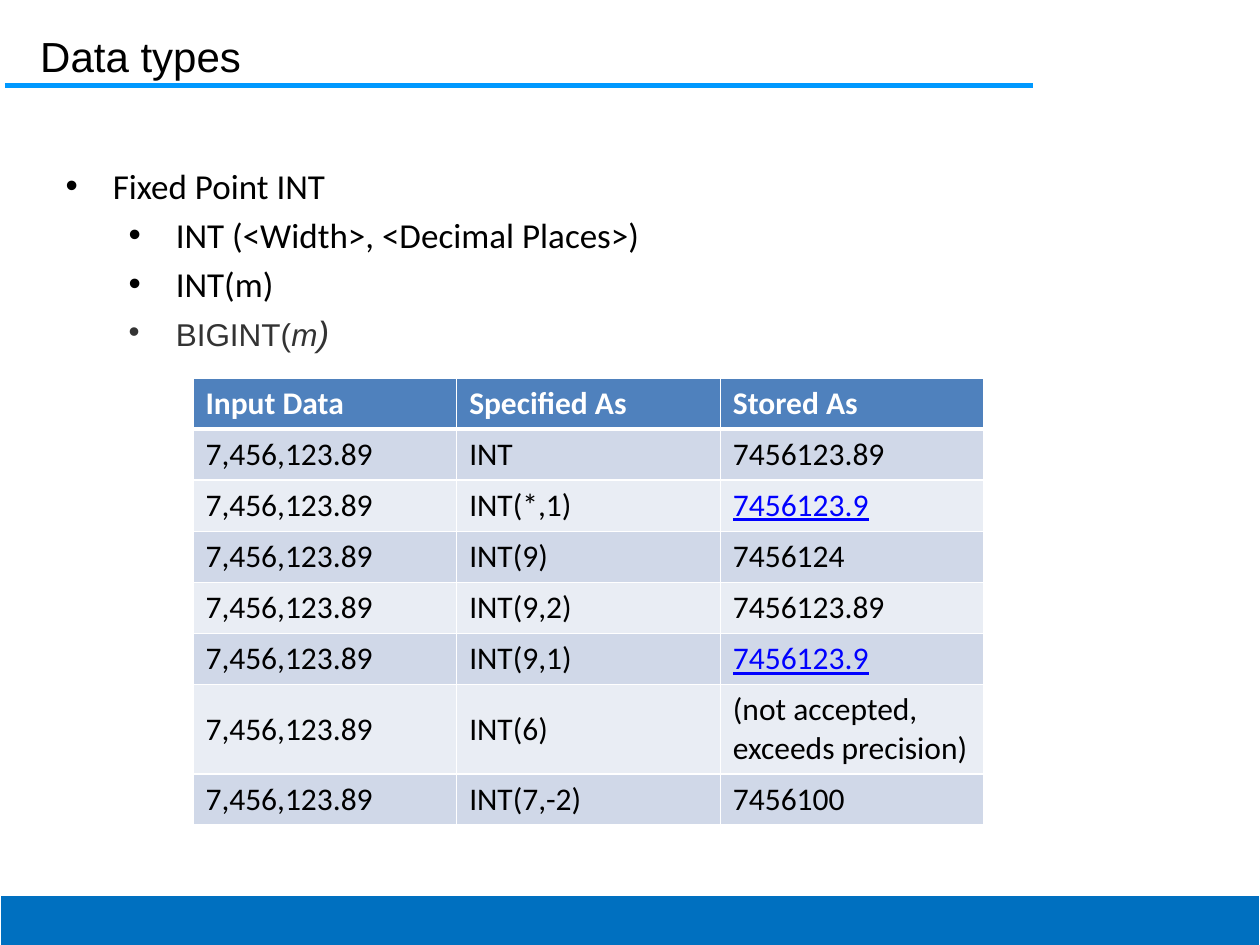
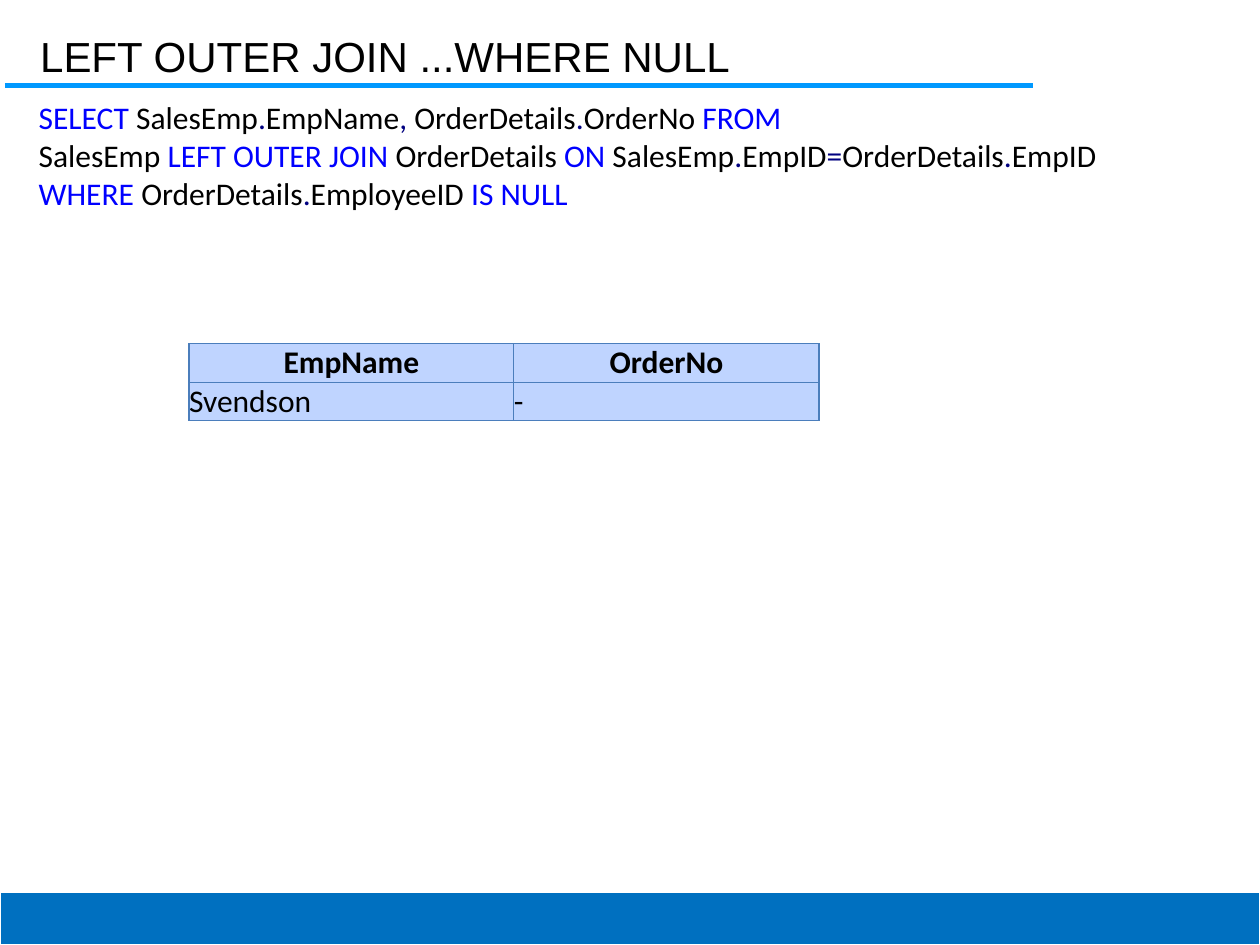
from lxml import etree
from pptx import Presentation
from pptx.dml.color import RGBColor
from pptx.enum.shapes import MSO_CONNECTOR, MSO_SHAPE
from pptx.enum.text import MSO_ANCHOR, MSO_AUTO_SIZE, PP_ALIGN
from pptx.oxml.ns import qn
from pptx.util import Cm, Pt

BLACK = RGBColor(0x00, 0x00, 0x00)
WHITE = RGBColor(0xFF, 0xFF, 0xFF)
GREY = RGBColor(0x33, 0x33, 0x33)
SKY = RGBColor(0x00, 0x99, 0xFF)
BAND = RGBColor(0x00, 0x70, 0xC0)
BLUE = RGBColor(0x00, 0x00, 0xFF)
NAVY = RGBColor(0x00, 0x00, 0x80)
HEAD = RGBColor(0x4F, 0x81, 0xBD)
DARK = RGBColor(0xD0, 0xD8, 0xE8)
PALE = RGBColor(0xE9, 0xED, 0xF4)
ICE = RGBColor(0xBF, 0xD4, 0xFF)
EDGE = RGBColor(0x4B, 0x7E, 0xBC)

LINE = MSO_CONNECTOR.STRAIGHT
RECT = MSO_SHAPE.RECTANGLE
TOP, MIDDLE = MSO_ANCHOR.TOP, MSO_ANCHOR.MIDDLE
LEFT, CENTER = PP_ALIGN.LEFT, PP_ALIGN.CENTER
FIXED = MSO_AUTO_SIZE.NONE

SANS, BODY = "Arial", "Calibri"
INPUT = "7,456,123.89"
TYPES = [
    ("INT", "7456123.89"),
    ("INT(*,1)", "7456123.9"),
    ("INT(9)", "7456124"),
    ("INT(9,2)", "7456123.89"),
    ("INT(9,1)", "7456123.9"),
    ("INT(6)", "(not accepted, exceeds precision)"),
    ("INT(7,-2)", "7456100"),
]
LINKED = "7456123.9"
KEYS = ("SELECT", "FROM", "LEFT OUTER JOIN", "ON", "WHERE", "IS NULL")
MARKS = (".", ",", "=")
QUERY = [
    "SELECT |SalesEmp|.|EmpName|, |OrderDetails|.|OrderNo |FROM",
    "SalesEmp |LEFT OUTER JOIN |OrderDetails |ON |SalesEmp|.|EmpID|=|"
    "OrderDetails|.|EmpID |WHERE |OrderDetails|.|EmployeeID |IS NULL",
]


def style(run, size, color, face=BODY, bold=False):
    font = run.font
    font.size, font.name, font.bold = Pt(size), face, bold
    font.color.rgb = color


def place(shape, box):
    shape.left, shape.top, shape.width, shape.height = map(Cm, box)


def add_frame(slide, title, foot):
    head = slide.shapes.title
    place(head, (0.58, 0.43, 20.24, 1.02))
    frame = head.text_frame
    frame.text = title
    frame.auto_size = FIXED
    frame.vertical_anchor = TOP
    frame.margin_left = frame.margin_right = Cm(0.23)
    frame.margin_top, frame.margin_bottom = Cm(0.18), Cm(0.1)
    para = frame.paragraphs[0]
    para.alignment = LEFT
    style(para.runs[0], 24, BLACK, SANS)

    rule = slide.shapes.add_connector(LINE, Cm(0.1), Cm(1.73), Cm(20.83), Cm(1.73))
    rule.line.color.rgb = SKY
    rule.line.width = Pt(2.89)
    etree.SubElement(rule.element.spPr, qn("a:effectLst"))

    band = slide.shapes.add_shape(RECT, 0, Cm(foot), Cm(25.4), Cm(1.07))
    band.shadow.inherit = False
    band.fill.solid()
    band.fill.fore_color.rgb = BAND
    band.line.color.rgb = WHITE
    band.line.width = Pt(0.75)


def set_dot(para, left, hang):
    props = para._p.get_or_add_pPr()
    props.set("marL", str(Cm(left)))
    props.set("indent", str(-Cm(hang)))
    etree.SubElement(props, qn("a:buFont"), typeface=SANS)
    etree.SubElement(props, qn("a:buChar"), char="•")


def add_list(shape, box):
    place(shape, box)
    frame = shape.text_frame
    frame.auto_size = FIXED
    items = [
        (0, ["Fixed Point INT"]),
        (1, ["INT (<Width>, <Decimal Places>)"]),
        (1, ["INT(m)"]),
        (1, ["BIGINT(", "m", ")"]),
    ]
    for pos, (level, parts) in enumerate(items):
        para = frame.paragraphs[0] if pos == 0 else frame.add_paragraph()
        para.level = level
        para.space_before = Pt(4)
        set_dot(para, 0.95 + 1.27 * level, 0.95)
        for part in parts:
            run = para.add_run()
            run.text = part
            style(run, 20, BLACK)
    big, arg, end = para.runs
    for run, size in ((big, 18), (arg, 18), (end, 20)):
        style(run, size, GREY, SANS)
    arg.font.italic = end.font.italic = True


def set_edge(cell, color, widths):
    props = cell._tc.get_or_add_tcPr()
    for pos, (side, width) in enumerate(zip("LRTB", widths)):
        edge = etree.Element(qn("a:ln" + side), w=str(Pt(width)))
        fill = etree.SubElement(edge, qn("a:solidFill"))
        etree.SubElement(fill, qn("a:srgbClr"), val=str(color))
        props.insert(pos, edge)


def add_grid(slide, box, rows, cols, highs):
    shape = slide.shapes.add_table(len(rows), len(cols), *map(Cm, box))
    grid = shape.table
    for col, width in zip(grid.columns, cols):
        col.width = Cm(width)
    for row, high, texts in zip(grid.rows, highs, rows):
        row.height = Cm(high)
        for cell, text in zip(row.cells, texts):
            cell.text = text
            cell.vertical_anchor = MIDDLE
            cell.fill.solid()
    return grid


def add_types(slide, box):
    rows = [("Input Data", "Specified As", "Stored As")]
    rows += [(INPUT, *pair) for pair in TYPES]
    highs = [1.03] * 6 + [1.78, 1.03]
    grid = add_grid(slide, box, rows, [box[2] / 3] * 3, highs)
    for pos, row in enumerate(grid.rows):
        top = pos == 0
        for cell in row.cells:
            cell.fill.fore_color.rgb = HEAD if top else (PALE, DARK)[pos % 2]
            set_edge(cell, WHITE, (1, 1, 3 if pos == 1 else 1, 3 if top else 1))
            run = cell.text_frame.paragraphs[0].runs[0]
            link = cell.text == LINKED
            style(run, 18, WHITE if top else BLUE if link else BLACK, bold=top)
            run.font.underline = link


def add_result(slide, box):
    rows = [("EmpName", "OrderNo"), ("Svendson", "-")]
    grid = add_grid(slide, box, rows, (6.55, 6.15), [box[3] / 2] * 2)
    for pos, row in enumerate(grid.rows):
        for cell in row.cells:
            cell.fill.fore_color.rgb = ICE
            cell.margin_left = cell.margin_right = 0
            cell.margin_top = cell.margin_bottom = 0
            set_edge(cell, EDGE, [0.75] * 4)
            para = cell.text_frame.paragraphs[0]
            para.alignment = LEFT if pos else CENTER
            style(para.runs[0], 18, BLACK, bold=pos == 0)


def add_query(slide, box):
    frame = slide.shapes.add_textbox(*map(Cm, box)).text_frame
    frame.word_wrap = True
    for pos, text in enumerate(QUERY):
        para = frame.paragraphs[0] if pos == 0 else frame.add_paragraph()
        for part in text.split("|"):
            run = para.add_run()
            run.text = part
            word = part.strip()
            color = BLUE if word in KEYS else NAVY if word in MARKS else BLACK
            style(run, 18, color)


def make_types(deck):
    slide = deck.slides.add_slide(deck.slide_layouts[1])
    add_frame(slide, "Data types", 18.06)
    add_list(slide.placeholders[1], (1.07, 3.18, 23.29, 12.27))
    add_types(slide, (3.89, 7.62, 15.95, 8.99))


def make_join(deck):
    slide = deck.slides.add_slide(deck.slide_layouts[5])
    add_frame(slide, "LEFT OUTER JOIN ...WHERE NULL", 17.98)
    add_result(slide, (3.81, 6.93, 12.7, 1.54))
    add_query(slide, (0.53, 1.85, 23.37, 2.57))


def main():
    deck = Presentation()
    deck.slide_width, deck.slide_height = Cm(25.4), Cm(19.05)
    make_types(deck)
    make_join(deck)
    deck.save("out.pptx")


if __name__ == "__main__":
    main()
